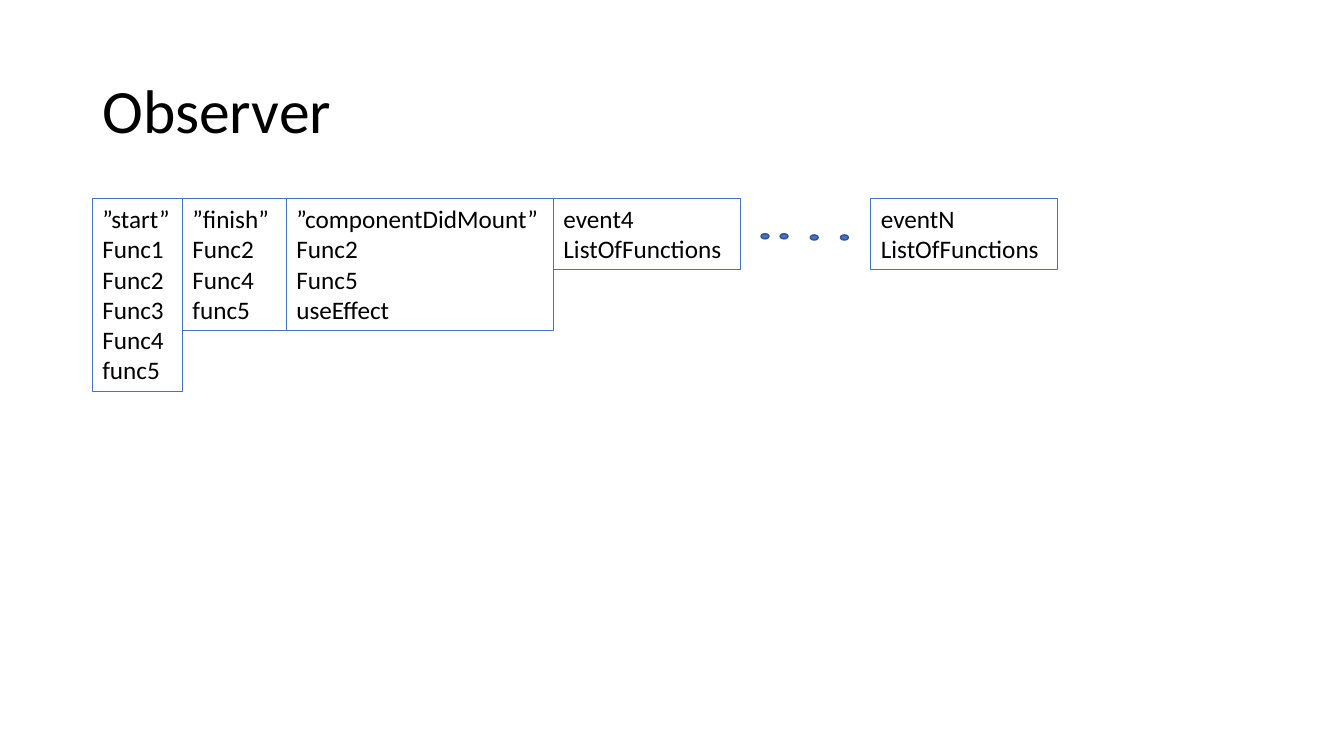
from pptx import Presentation
from pptx.dml.color import RGBColor
from pptx.enum.shapes import MSO_SHAPE as Shape
from pptx.enum.text import MSO_ANCHOR as Anchor, MSO_AUTO_SIZE as AutoSize
from pptx.util import Cm, Pt

COLORS = {"text": "000000", "accent": "4472C4", "dot_edge": "325491"}
FONT = "Calibri"

# Event name, its functions and the column width in cm
EVENTS = [
    (["”start”", "Func1", "Func2", "Func3", "Func4", "func5"], 2.27),
    (["”finish”", "Func2", "Func4", "func5"], 2.62),
    (["”componentDidMount”", "Func2", "Func5", "useEffect"], 6.73),
    (["event4", "ListOfFunctions"], 4.71),
]
LAST_EVENT = (["eventN", "ListOfFunctions"], 4.71)
GAP = 3.29
DOTS = [(0.52, 0.89), (1.0, 0.89), (1.76, 0.92), (2.52, 0.92)]
LINE_HEIGHT, PADDING = 0.77, 0.25


def color(name):
    return RGBColor.from_string(COLORS[name])


def add_text(page, lines, size, left, top, width, height):
    box = page.shapes.add_textbox(Cm(left), Cm(top), Cm(width), Cm(height))
    frame = box.text_frame
    frame.word_wrap = True
    frame.text = "\n".join(lines)
    for para in frame.paragraphs:
        para.font.name = FONT
        para.font.size = Pt(size)
        para.font.color.rgb = color("text")
    return box


def add_title(page, title, left, top, width, height):
    frame = add_text(page, [title], 44, left, top, width, height).text_frame
    frame.vertical_anchor = Anchor.MIDDLE
    frame.paragraphs[0].line_spacing = 0.9


def add_event(page, lines, left, top, width):
    height = PADDING + LINE_HEIGHT * len(lines)
    box = add_text(page, lines, 18, left, top, width, height)
    box.text_frame.auto_size = AutoSize.SHAPE_TO_FIT_TEXT
    box.line.color.rgb = color("accent")
    box.line.width = Pt(0.75)


def add_dots(page, left, top):
    for x, y in DOTS:
        dot = page.shapes.add_shape(
            Shape.OVAL, Cm(left + x), Cm(top + y), Cm(0.2), Cm(0.13))
        dot.shadow.inherit = False
        dot.fill.solid()
        dot.fill.fore_color.rgb = color("accent")
        dot.line.color.rgb = color("dot_edge")
        dot.line.width = Pt(1)


def add_event_row(page, left, top):
    # Adjoining event columns
    for lines, width in EVENTS:
        add_event(page, lines, left, top, width)
        left += width
    # Ellipsis between the listed events and the last one
    add_dots(page, left, top)
    lines, width = LAST_EVENT
    add_event(page, lines, left + GAP, top, width)


def main():
    deck = Presentation()
    deck.slide_width, deck.slide_height = Cm(33.87), Cm(19.05)
    page = deck.slides.add_slide(deck.slide_layouts[6])
    add_title(page, "Observer", 2.33, 1.01, 29.21, 3.68)
    add_event_row(page, 2.33, 5.0)
    deck.save("out.pptx")


if __name__ == "__main__":
    main()
